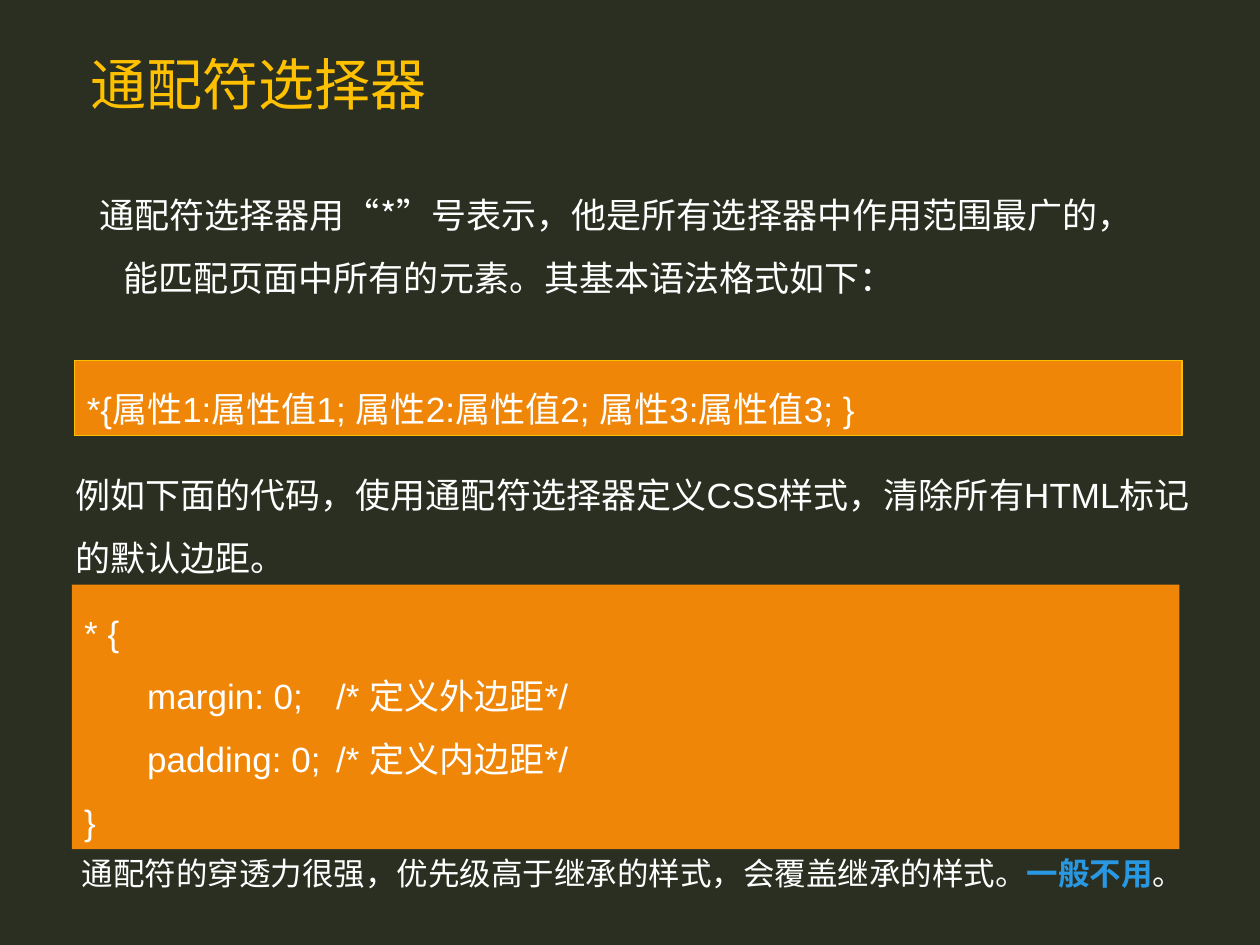
from dataclasses import dataclass
from typing import Optional

from lxml.etree import SubElement
from pptx import Presentation
from pptx.dml.color import RGBColor
from pptx.enum.shapes import MSO_SHAPE
from pptx.enum.text import MSO_ANCHOR, MSO_AUTO_SIZE, PP_ALIGN
from pptx.oxml.ns import qn
from pptx.util import Inches, Pt

COLORS = {
    "background": "2A2F21",
    "gold": "FFC000",
    "white": "FFFFFF",
    "orange": "EF8607",
    "blue": "2998E3",
}
SANS, CJK = "Arial", "Noto Sans CJK SC"
WIDTH, HEIGHT = Inches(10), Inches(7.5)
CODE_TABS = (1, 3.77)


@dataclass(frozen=True)
class Area:
    """A rectangle in percent of the slide's width and height."""
    left: float
    top: float
    width: float
    height: float

    def lengths(self) -> tuple:
        return (int(WIDTH * self.left / 100), int(HEIGHT * self.top / 100),
                int(WIDTH * self.width / 100), int(HEIGHT * self.height / 100))


@dataclass(frozen=True)
class Span:
    text: str
    color: str = "white"
    bold: bool = False


@dataclass(frozen=True)
class Style:
    size: float = 20
    font: str = SANS
    spacing: float = 1.5
    hanging: float = 0
    tabs: tuple = ()


@dataclass(frozen=True)
class Block:
    area: Area
    lines: tuple
    style: Style = Style()
    fill: Optional[str] = None
    border: Optional[str] = None


TITLE = Block(Area(6.2, 3.2, 86.2, 12), ((Span("通配符选择器", "gold"),),),
              Style(size=32, font=CJK, spacing=0.9))
INTRO = Block(
    Area(6.9, 17.6, 86.3, 72.53),
    ((Span("通配符选择器用“*”号表示，他是所有选择器中作用范围最广的，"
           "能匹配页面中所有的元素。其基本语法格式如下："),),),
    Style(font=CJK, hanging=0.19))
BLOCKS = (
    Block(Area(5.9, 38.13, 87.9, 8),
          ((Span("*{属性1:属性值1; 属性2:属性值2; 属性3:属性值3; }"),),),
          fill="orange", border="gold"),
    Block(Area(5, 47.2, 91, 14.67),
          ((Span("例如下面的代码，使用通配符选择器定义CSS样式，"
                 "清除所有HTML标记的默认边距。"),),)),
    Block(Area(5.7, 61.87, 87.9, 28),
          ((Span("* {"),),
           (Span("\tmargin: 0;\t/* 定义外边距*/"),),
           (Span("\tpadding: 0;\t/* 定义内边距*/"),),
           (Span("}"),)),
          Style(tabs=CODE_TABS), fill="orange"),
    Block(Area(5.5, 89.73, 94.9, 5.33),
          ((Span("通配符的穿透力很强，优先级高于继承的样式，会覆盖继承的样式。"),
            Span("一般不用", "blue", True),
            Span("。")),),
          Style(size=18, spacing=1)),
)


def rgb(name: str) -> RGBColor:
    return RGBColor.from_string(COLORS[name])


def format_paragraph(para, style: Style) -> None:
    props = para._p.get_or_add_pPr()
    props.set("marL", str(Inches(style.hanging)))
    props.set("indent", str(-Inches(style.hanging)))
    SubElement(props, qn("a:buNone"))
    if style.tabs:
        stops = SubElement(props, qn("a:tabLst"))
        for stop in style.tabs:
            SubElement(stops, qn("a:tab"), pos=str(Inches(stop)), algn="l")
    para.alignment = PP_ALIGN.LEFT
    para.line_spacing = style.spacing
    para.space_before = Pt(0)


def add_span(para, span: Span, style: Style) -> None:
    run = para.add_run()
    run.text = span.text
    run.font.size = Pt(style.size)
    run.font.bold = span.bold
    run.font.color.rgb = rgb(span.color)
    run.font.name = style.font
    SubElement(run.font._element, qn("a:ea"), typeface=CJK)


def write_block(shape, block: Block, anchor=MSO_ANCHOR.TOP) -> None:
    shape.left, shape.top, shape.width, shape.height = block.area.lengths()
    frame = shape.text_frame
    frame.word_wrap = True
    frame.auto_size = MSO_AUTO_SIZE.NONE
    frame.vertical_anchor = anchor
    for index, line in enumerate(block.lines):
        para = frame.add_paragraph() if index else frame.paragraphs[0]
        format_paragraph(para, block.style)
        for span in line:
            add_span(para, span, block.style)


def add_block(slide, block: Block) -> None:
    if block.fill:
        box = slide.shapes.add_shape(MSO_SHAPE.RECTANGLE, *block.area.lengths())
        box.shadow.inherit = False
        box.fill.solid()
        box.fill.fore_color.rgb = rgb(block.fill)
        if block.border:
            box.line.color.rgb = rgb(block.border)
            box.line.width = Pt(0.75)
        else:
            box.line.fill.background()
    else:
        box = slide.shapes.add_textbox(*block.area.lengths())
    write_block(box, block)


def main() -> None:
    deck = Presentation()
    deck.slide_width, deck.slide_height = WIDTH, HEIGHT
    slide = deck.slides.add_slide(deck.slide_layouts[1])
    slide.background.fill.solid()
    slide.background.fill.fore_color.rgb = rgb("background")
    write_block(slide.shapes.title, TITLE, MSO_ANCHOR.MIDDLE)
    write_block(slide.placeholders[1], INTRO)
    for block in BLOCKS:
        add_block(slide, block)
    deck.save("out.pptx")


if __name__ == "__main__":
    main()
